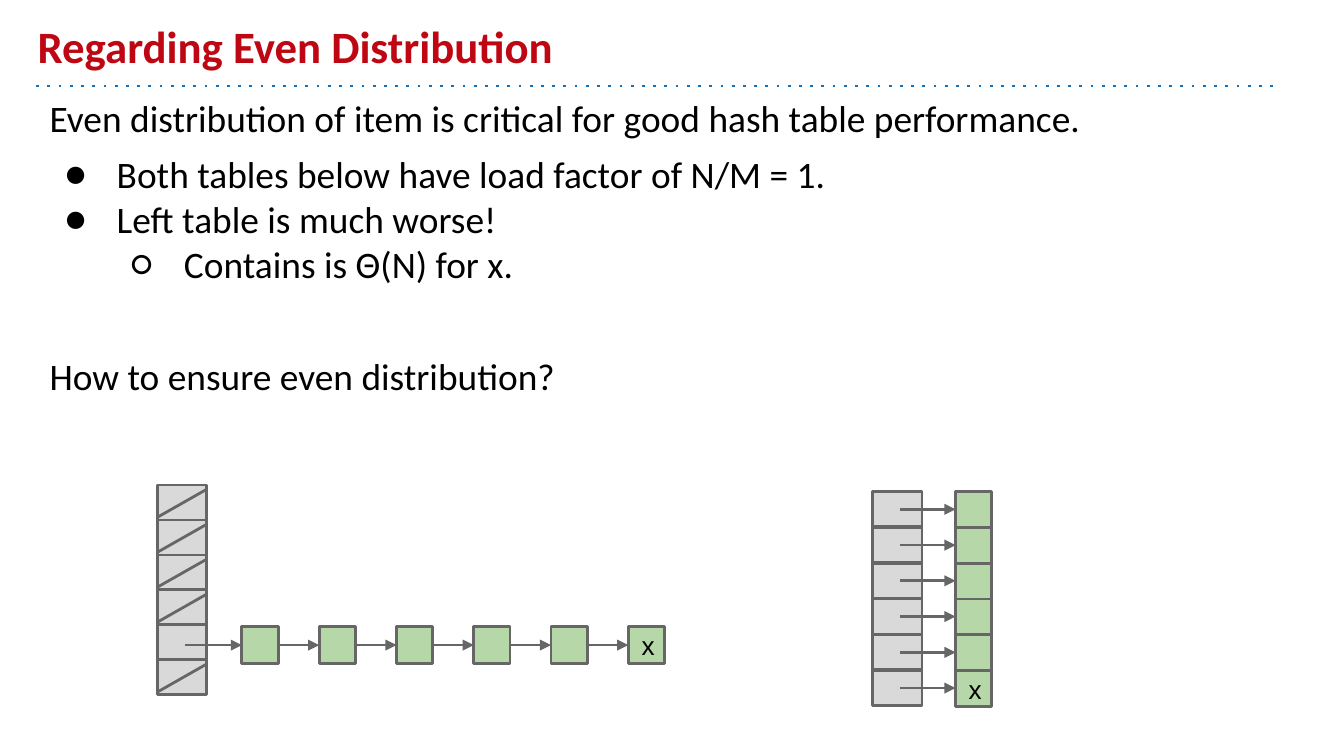
from lxml.etree import SubElement
from pptx import Presentation
from pptx.dml.color import RGBColor
from pptx.enum.shapes import MSO_CONNECTOR as LINK, MSO_SHAPE as SHAPE
from pptx.enum.text import MSO_ANCHOR as ANCHOR, MSO_AUTO_SIZE as FIT, PP_ALIGN as ALIGN
from pptx.oxml.ns import qn
from pptx.util import Inches, Pt

TITLE = "Regarding Even Distribution"
# text, bullet, level of indent, space before in points
BODY = [
    ("Even distribution of item is critical for good hash table performance.", "", 0, 6),
    ("Both tables below have load factor of N/M = 1.", "●", 1, 6),
    ("Left table is much worse!", "●", 1, 0),
    ("Contains is Θ(N) for x.", "○", 2, 0),
    ("How to ensure even distribution?", "", 0, 36),
]
ITEMS = ["", "", "", "", "", "x"]
FULL = 4  # the one bucket of the left table that holds items

RED, BLUE, BLACK = "BE0712", "1072BD", "000000"
GRAY, GREEN, EDGE = "D9D9D9", "B6D7A8", "666666"

WIDE = Inches(10)
HIGH = WIDE * 9 // 16
CELL = 0.37, 0.26   # bucket width and height
NODE = 0.27, 0.28   # item width and height
TAIL = 0.21         # arrow start inside a bucket
LEFT = dict(x=1.17, y=3.61, step=0.26, node=1.8, gap=0.575)
RIGHT = dict(x=6.49, y=3.66, step=0.266, node=7.11)


def color(code):
    return RGBColor.from_string(code)


def style(par, size, face, code, bold=False):
    par.alignment = ALIGN.LEFT
    font = par.font
    font.size, font.name, font.bold = Pt(size), face, bold
    font.color.rgb = color(code)


def pad(frame, anchor):
    frame.margin_left = frame.margin_right = Inches(0.1)
    frame.margin_top = frame.margin_bottom = Inches(0.1)
    frame.vertical_anchor = anchor
    frame.word_wrap = True
    frame.auto_size = FIT.NONE


def line(x1, y1, x2, y2, code=EDGE, arrow=False, dash=False):
    link = slide.shapes.add_connector(LINK.STRAIGHT, *map(Inches, (x1, y1, x2, y2)))
    link.line.color.rgb = color(code)
    link.line.width = Pt(1.5)
    stroke = link.line._get_or_add_ln()
    if dash:
        SubElement(stroke, qn("a:prstDash"), val="dot")
    if arrow:
        SubElement(stroke, qn("a:tailEnd"), type="triangle")
    SubElement(link._element.spPr, qn("a:effectLst"))


def box(x, y, w, h, fill, text=""):
    shape = slide.shapes.add_shape(SHAPE.RECTANGLE, *map(Inches, (x, y, w, h)))
    shape.shadow.inherit = False
    shape.fill.solid()
    shape.fill.fore_color.rgb = color(fill)
    shape.line.color.rgb = color(EDGE)
    shape.line.width = Pt(1.5)
    if text:
        pad(shape.text_frame, ANCHOR.MIDDLE)
        shape.text_frame.text = text
        style(shape.text_frame.paragraphs[0], 14, "Arial", BLACK)


def heading():
    line(0.27, 0.64, 9.5, 0.64, BLUE, dash=True)
    title = slide.shapes.title
    title.left, title.top, title.width, title.height = map(Inches, (0.18, 0.1, 9, 0.54))
    title.text_frame.text = TITLE
    pad(title.text_frame, ANCHOR.BOTTOM)
    style(title.text_frame.paragraphs[0], 24, "Calibri", RED, True)


def body():
    frame = slide.shapes.add_textbox(*map(Inches, (0.27, 0.61, 9.52, 2.73))).text_frame
    pad(frame, ANCHOR.TOP)
    for i, (text, mark, level, space) in enumerate(BODY):
        par = frame.add_paragraph() if i else frame.paragraphs[0]
        par.text = text
        par.space_before = Pt(space)
        if mark:
            par.level = level - 1
            props = par._p.get_or_add_pPr()
            props.set("marL", str(Inches(0.5 * level)))
            props.set("indent", str(Inches(-0.39)))
            SubElement(props, qn("a:buFont"), typeface="Calibri")
            SubElement(props, qn("a:buChar"), char=mark)
        style(par, 20, "Calibri", BLACK)


def skewed(x, y, step, node, gap):
    """All items chained from one bucket, the others struck out."""
    for row in range(len(ITEMS)):
        top = y + row * step
        box(x, top, *CELL, GRAY)
        if row != FULL:
            line(x, top + 0.24, x + CELL[0], top + 0.03)
    mid = y + FULL * step + 0.15
    start = x + TAIL
    for col, text in enumerate(ITEMS):
        left = node + col * gap
        box(left, mid - NODE[1] / 2, *NODE, GREEN, text)
        line(start, mid, left, mid, arrow=True)
        start = left + NODE[0]


def even(x, y, step, node):
    """One item for each bucket."""
    for row, text in enumerate(ITEMS):
        top = y + row * step
        box(x, top, *CELL, GRAY)
        box(node, top, NODE[0], NODE[0], GREEN, text)
        line(x + TAIL, top + CELL[1] / 2, node, top + CELL[1] / 2, arrow=True)


deck = Presentation()
deck.slide_width, deck.slide_height = WIDE, HIGH
slide = deck.slides.add_slide(deck.slide_layouts[5])
heading()
body()
skewed(**LEFT)
even(**RIGHT)
deck.save("out.pptx")
